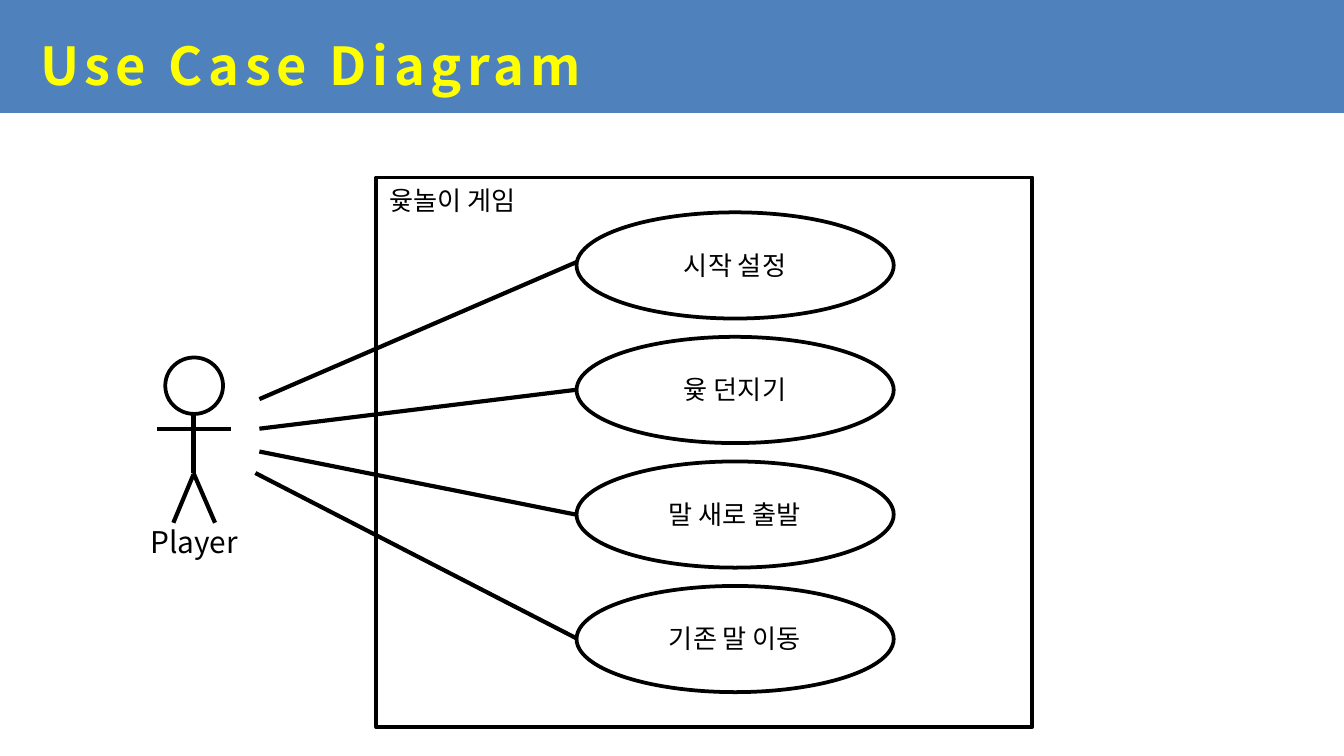
"""Build a use case diagram slide for a yut board game."""
from dataclasses import dataclass

from lxml import etree
from pptx import Presentation
from pptx.dml.color import RGBColor
from pptx.enum.shapes import MSO_CONNECTOR, MSO_SHAPE
from pptx.enum.text import MSO_AUTO_SIZE, PP_ALIGN
from pptx.oxml.ns import qn
from pptx.util import Inches, Pt

RECT, OVAL = MSO_SHAPE.RECTANGLE, MSO_SHAPE.OVAL
STRAIGHT = MSO_CONNECTOR.STRAIGHT
LEFT, CENTER = PP_ALIGN.LEFT, PP_ALIGN.CENTER
FIT_SHAPE = MSO_AUTO_SIZE.SHAPE_TO_FIT_TEXT


@dataclass(frozen=True)
class Theme:
    """Colours, font, type sizes and line widths."""

    banner: RGBColor = RGBColor(0x4F, 0x81, 0xBD)
    title: RGBColor = RGBColor(0xFF, 0xFF, 0x00)
    ink: RGBColor = RGBColor(0, 0, 0)
    paper: RGBColor = RGBColor(0xFF, 0xFF, 0xFF)
    font: str = "Noto Sans CJK KR"
    title_size: int = 28
    actor_size: int = 16
    label_size: int = 14
    outline: float = 2
    stroke: float = 2.25


THEME = Theme()
TITLE = "Use Case Diagram"
ACTOR = "Player"
SYSTEM = "윷놀이 게임"
USE_CASES = ["시작 설정", "윷 던지기", "말 새로 출발", "기존 말 이동"]
LINKS = [
    ((1.93, 2.97), 1.95),
    ((1.93, 3.19), 2.9),
    ((1.93, 3.36), 3.83),
    ((1.9, 3.52), 4.75),
]
ACTOR_LIMBS = [
    ((1.44, 3.07), (1.44, 3.52)),
    ((1.17, 3.19), (1.72, 3.19)),
    ((1.44, 3.53), (1.29, 3.89)),
    ((1.44, 3.52), (1.6, 3.89)),
]
CASE_LEFT, CASE_WIDTH, CASE_HEIGHT = 4.29, 2.36, 0.79
FIRST_TOP, LAST_TOP = 1.58, 4.36
CASE_PITCH = (LAST_TOP - FIRST_TOP) / (len(USE_CASES) - 1)
LABEL_HEIGHT = 0.34


def add_figure(shapes, kind, at, fill, line=None):
    figure = shapes.add_shape(kind, *map(Inches, at))
    figure.shadow.inherit = False
    figure.fill.solid()
    figure.fill.fore_color.rgb = fill
    if line is None:
        figure.line.fill.background()
    else:
        figure.line.color.rgb = line
        figure.line.width = Pt(THEME.outline)


def add_stroke(shapes, start, end):
    stroke = shapes.add_connector(STRAIGHT, *map(Inches, (*start, *end)))
    stroke.line.color.rgb = THEME.ink
    stroke.line.width = Pt(THEME.stroke)
    etree.SubElement(stroke._element.spPr, qn("a:effectLst"))


def add_text(shapes, at, text, size, align=LEFT, color=THEME.ink, wrap=True):
    box = shapes.add_textbox(*map(Inches, at))
    box.text_frame.word_wrap = wrap
    box.text_frame.auto_size = FIT_SHAPE
    para = box.text_frame.paragraphs[0]
    para.text = text
    para.alignment = align
    para.font.name = THEME.font
    para.font.size = Pt(size)
    para.font.color.rgb = color
    east_asian = etree.SubElement(para.font._element, qn("a:ea"))
    east_asian.set("typeface", THEME.font)
    return para


def add_title(shapes):
    add_figure(shapes, RECT, (0, 0, 10, 0.84), THEME.banner)
    para = add_text(shapes, (0.2, 0.06, 4.29, 0.65), TITLE,
                    THEME.title_size, color=THEME.title, wrap=False)
    para.line_spacing = 1.3
    para.font.bold = True
    para.font._element.set("spc", "300")


def add_actor(shapes):
    figure = shapes.add_group_shape().shapes
    add_figure(figure, OVAL, (1.23, 2.66, 0.43, 0.42), THEME.paper, THEME.ink)
    for start, end in ACTOR_LIMBS:
        add_stroke(figure, start, end)
    add_text(shapes, (0.99, 3.85, 0.91, 0.37), ACTOR, THEME.actor_size, CENTER)


def add_use_case(shapes, name, top):
    case = shapes.add_group_shape().shapes
    label_top = top + (CASE_HEIGHT - LABEL_HEIGHT) / 2
    add_figure(case, OVAL, (CASE_LEFT, top, CASE_WIDTH, CASE_HEIGHT),
               THEME.paper, THEME.ink)
    add_text(case, (CASE_LEFT, label_top, CASE_WIDTH, LABEL_HEIGHT),
             name, THEME.label_size, CENTER)


def add_system(shapes):
    add_figure(shapes, RECT, (2.8, 1.32, 4.88, 4.09), THEME.paper, THEME.ink)
    for index, name in enumerate(USE_CASES):
        add_use_case(shapes, name, FIRST_TOP + index * CASE_PITCH)
    add_text(shapes, (2.8, 1.32, 1.73, LABEL_HEIGHT), SYSTEM, THEME.label_size)
    for start, end_y in LINKS:
        add_stroke(shapes, start, (CASE_LEFT, end_y))


deck = Presentation()
deck.slide_width = Inches(10)
deck.slide_height = Inches(10 * 9 / 16)
page = deck.slides.add_slide(deck.slide_layouts[6])
add_title(page.shapes)
add_actor(page.shapes)
add_system(page.shapes)
deck.save("out.pptx")
